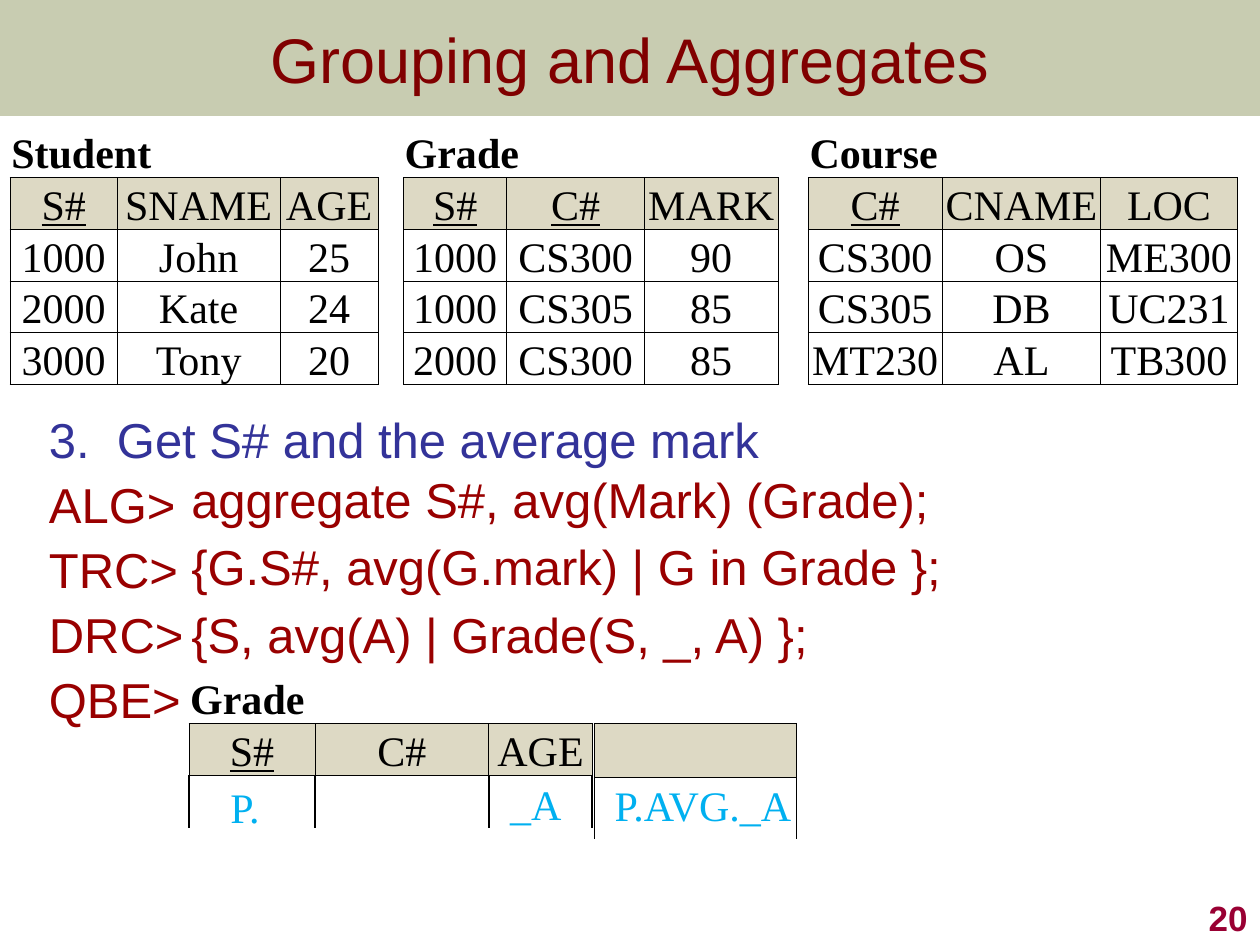
import pptx
import pptx.util
import pptx.dml.color
import pptx.enum.shapes
import pptx.enum.text
import pptx.oxml.ns
import lxml.etree as etree

UNIT = 0.1  # the slide is a grid of 100 columns by 75 rows
SANS, SERIF = "Arial", "Times New Roman"
BLACK, WHITE, TAN, RED, SKY = "000000", "FFFFFF", "DDD9C4", "990000", "00B0F0"
ALIGN = pptx.enum.text.PP_ALIGN
ANCHOR = pptx.enum.text.MSO_ANCHOR

RELATIONS = [
    (0, "Student", ["S#", "SNAME", "AGE"],
     [["1000", "John", "25"], ["2000", "Kate", "24"], ["3000", "Tony", "20"]],
     ["S#"]),
    (4, "Grade", ["S#", "C#", "MARK"],
     [["1000", "CS300", "90"], ["1000", "CS305", "85"], ["2000", "CS300", "85"]],
     ["S#", "C#"]),
    (8, "Course", ["C#", "CNAME", "LOC"],
     [["CS300", "OS", "ME300"], ["CS305", "DB", "UC231"], ["MT230", "AL", "TB300"]],
     ["C#"]),
]
TASK = "3.\tGet S# and the average mark"
LABELS = ["ALG>", "TRC>", "DRC>", "QBE>"]
ANSWERS = [
    "aggregate S#, avg(Mark) (Grade);",
    "{G.S#, avg(G.mark) | G in Grade };",
    "{S, avg(A) | Grade(S, _, A) };",
]


def rgb(code):
    return pptx.dml.color.RGBColor.from_string(code)


def span(n):
    return pptx.util.Inches(n * UNIT)


def style(par, size, face, color, bold=False, line=False, align=ALIGN.LEFT):
    par.alignment = align
    font = par.font
    font.size, font.name = pptx.util.Pt(size), face
    font.bold, font.underline = bold, line
    font.color.rgb = rgb(color)


def write(slide, box, lines, size, face, color, bold=False, align=ALIGN.LEFT,
          anchor=ANCHOR.TOP, wrap=True):
    """Add a text box with one paragraph for each line."""
    frame = slide.shapes.add_textbox(*map(span, box)).text_frame
    frame.word_wrap, frame.vertical_anchor = wrap, anchor
    frame.text = "\n".join(lines)
    for par in frame.paragraphs:
        style(par, size, face, color, bold, align=align)
    return frame


def header(slide, box, text):
    band = slide.shapes.add_shape(
        pptx.enum.shapes.MSO_SHAPE.RECTANGLE, *map(span, box))
    band.shadow.inherit = False
    band.line.fill.background()
    band.fill.solid()
    band.fill.fore_color.rgb = rgb("677228")
    tint = band.fill._xPr.find(".//" + pptx.oxml.ns.qn("a:srgbClr"))
    etree.SubElement(tint, pptx.oxml.ns.qn("a:alpha"), val="36000")
    write(slide, box, [text], 36, SANS, "800000",
          align=ALIGN.CENTER, anchor=ANCHOR.MIDDLE)


def edge(cell, sides, width):
    """Rule the given sides of a cell and clear the others."""
    props = cell._tc.get_or_add_tcPr()
    for side in "LRTB":
        rule = etree.SubElement(props, pptx.oxml.ns.qn("a:ln" + side),
                                w=str(pptx.util.Pt(width)))
        if side in sides:
            fill = etree.SubElement(rule, pptx.oxml.ns.qn("a:solidFill"))
            etree.SubElement(fill, pptx.oxml.ns.qn("a:srgbClr"), val=BLACK)
        else:
            etree.SubElement(rule, pptx.oxml.ns.qn("a:noFill"))


def put(cell, text="", fill=WHITE, sides="LRTB", width=0.5, bold=False,
        line=False, align=ALIGN.CENTER):
    edge(cell, sides, width)
    cell.fill.solid()
    cell.fill.fore_color.rgb = rgb(fill)
    cell.margin_left = cell.margin_right = cell.margin_top = span(0.1)
    cell.margin_bottom = 0
    cell.vertical_anchor = ANCHOR.BOTTOM
    cell.text = text
    style(cell.text_frame.paragraphs[0], 24, SERIF, BLACK, bold, line, align)


def grid(slide, box, cols, rows):
    """Add a plain table whose box is shared out by column and row weights."""
    table = slide.shapes.add_table(len(rows), len(cols), *map(span, box)).table
    table.first_row = table.horz_banding = False
    for col, part in zip(table.columns, cols):
        col.width = span(box[2] * part / sum(cols))
    for row, part in zip(table.rows, rows):
        row.height = span(box[3] * part / sum(rows))
    return table


def relation(table, left, name, heads, rows, keys):
    """Fill one named relation into the table from column left."""
    last = left + len(heads) - 1
    for col, head in enumerate(heads, left):
        put(table.cell(0, col), name if col == left else "", sides="B",
            bold=True, align=ALIGN.LEFT)
        put(table.cell(1, col), head, TAN, line=head in keys)
    table.cell(0, left).merge(table.cell(0, last))
    for r, row in enumerate(rows, 2):
        for col, text in enumerate(row, left):
            put(table.cell(r, col), text)


def schema(slide, box):
    cols = [0.85, 1.29, 0.78, 0.2, 0.82, 1.09, 1.06, 0.24, 1.06, 1.26, 1.08]
    table = grid(slide, box, cols, [1] * 5)
    for item in RELATIONS:
        relation(table, *item)
    for gap in (3, 7):
        for r in range(5):
            put(table.cell(r, gap), sides="LR" if r else "")


def queries(slide, box):
    x, y, w, h = box
    frame = write(slide, box, [TASK] + LABELS, 28, SANS, RED)
    frame.margin_right = 0
    for i, par in enumerate(frame.paragraphs):
        par.line_spacing = 0.9
        par.space_before = pptx.util.Pt(7 if i else 0)
        props = par._p.get_or_add_pPr()
        props.set("marL", str(span(5.4)))
        props.set("indent", str(-span(5.4)))
    frame.paragraphs[0].font.color.rgb = rgb("333399")
    for i, text in enumerate(ANSWERS):
        spot = (x + 11.3, y + 4.8 + 5.35 * i, 62, 5.3)
        answer = write(slide, spot, [text], 28, SANS, RED, wrap=False)
        answer.paragraphs[0].line_spacing = 0.9


def example(slide, box):
    """Draw the query-by-example tables and their entries."""
    x, y, w, h = box
    table = grid(slide, (x, y, 32, h), [1, 1.38, 0.82], [1] * 3)
    relation(table, 0, "Grade", ["S#", "C#", "AGE"], [], ["S#"])
    for col in range(3):
        put(table.cell(2, col), sides="LRT", width=1)
    extra = grid(slide, (x + 32.2, y + 4.1, 16, 9.2), [1], [0.43, 0.49])
    put(extra.cell(0, 0), fill=TAN)
    put(extra.cell(1, 0), sides="LRT", width=1)
    entries = [("_A", 24.5, 8, 6.1), ("P.AVG._A", 32.8, 8.1, 16.1),
               ("P.", 2.3, 8.2, 4.4)]
    for text, dx, dy, wide in entries:
        write(slide, (x + dx, y + dy, wide, 5), [text], 24, SERIF, SKY,
              wrap=False)


def main():
    deck = pptx.Presentation()
    deck.slide_width, deck.slide_height = span(100), span(75)
    slide = deck.slides.add_slide(deck.slide_layouts[6])
    header(slide, (0, 0, 100, 9.2), "Grouping and Aggregates")
    queries(slide, (2.9, 32.5, 90.7, 34.2))
    write(slide, (79.2, 70, 20.8, 5), ["20"], 20, SANS, "990033", bold=True,
          align=ALIGN.RIGHT, anchor=ANCHOR.BOTTOM)
    schema(slide, (0.8, 10, 97.4, 19))
    example(slide, (15, 53.3, 48.2, 12.4))
    deck.save("out.pptx")


if __name__ == "__main__":
    main()
